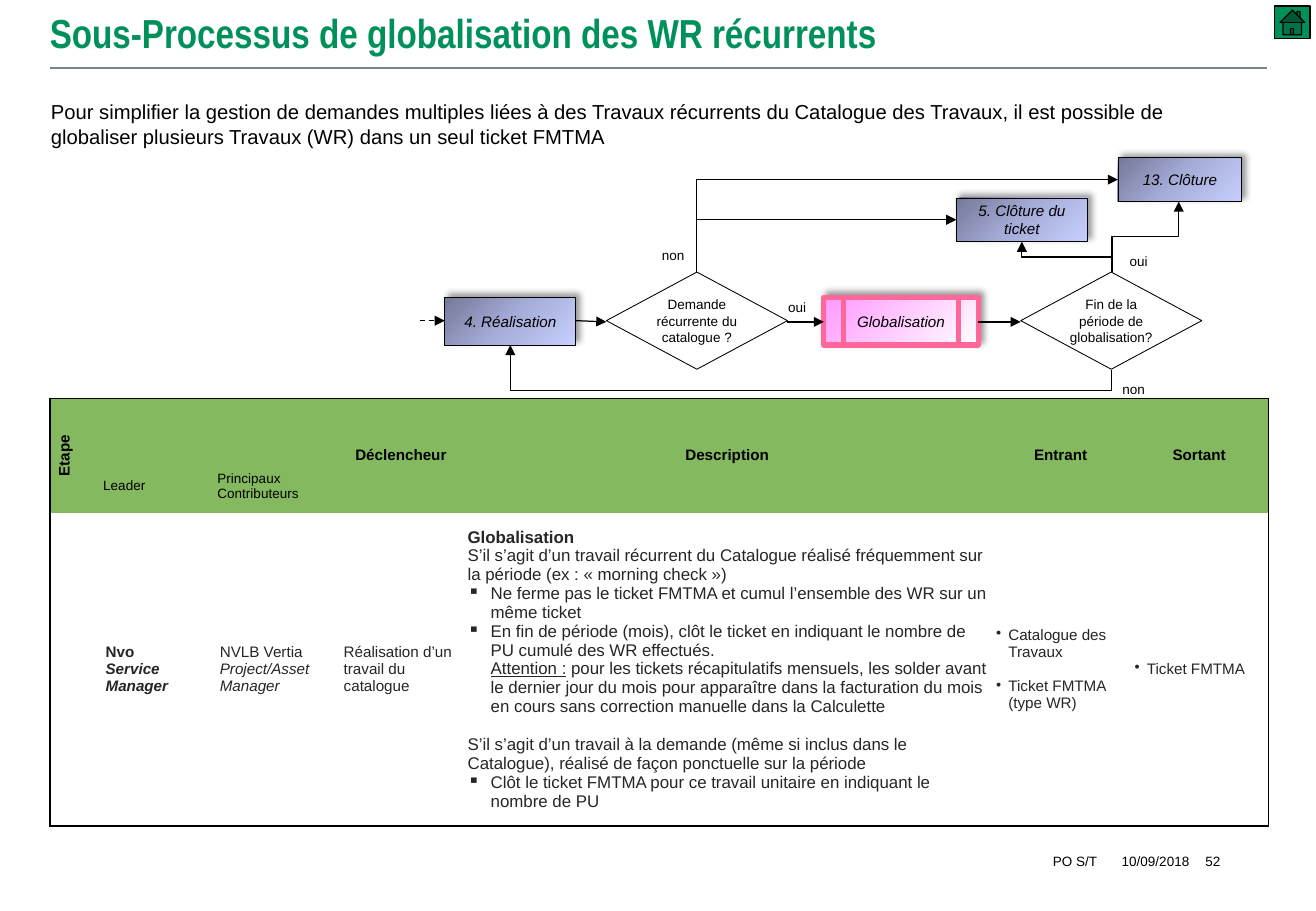
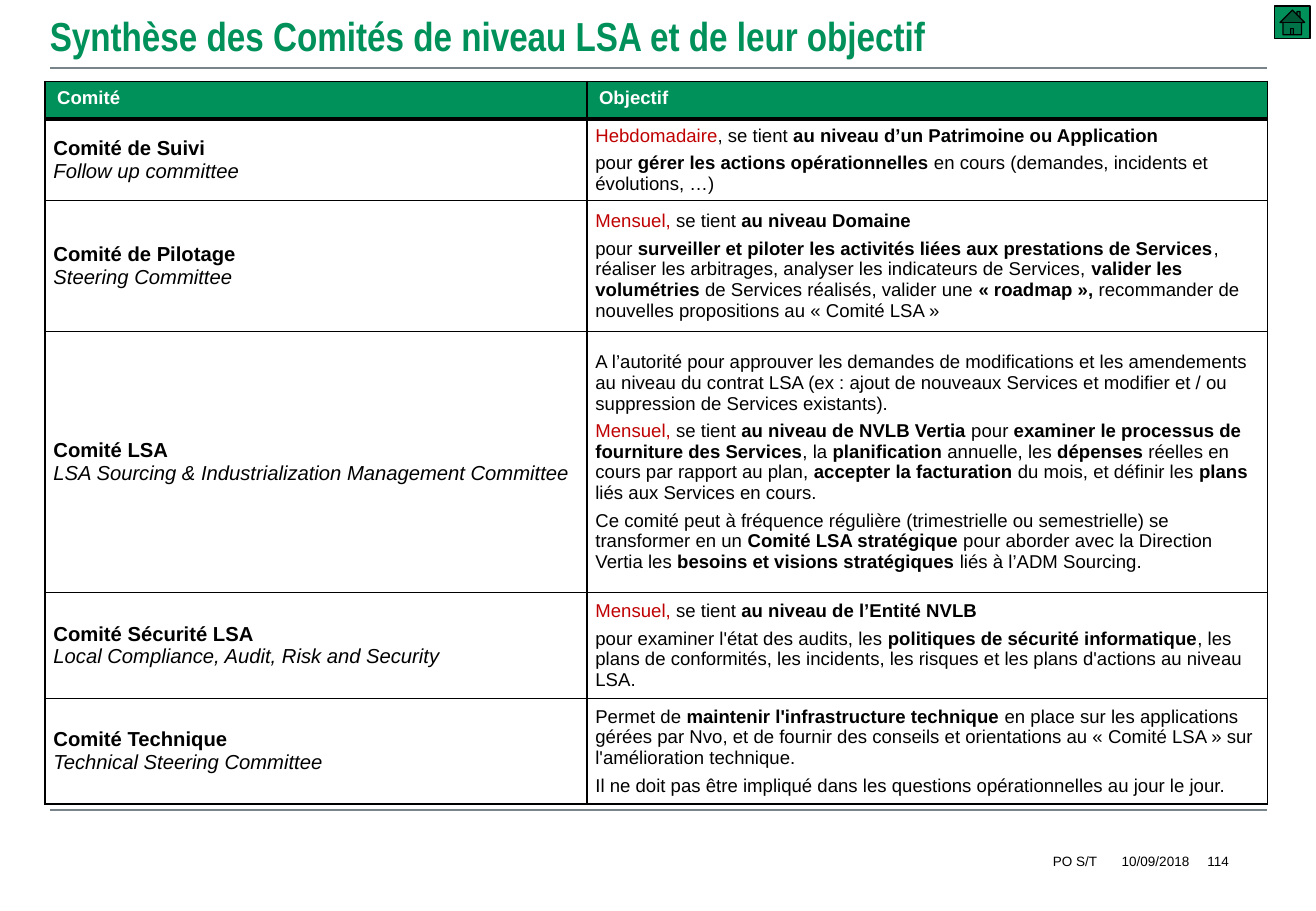
from dataclasses import dataclass

from lxml import etree
from pptx import Presentation
from pptx.dml.color import RGBColor
from pptx.enum.dml import MSO_LINE
from pptx.enum.shapes import MSO_CONNECTOR, MSO_SHAPE
from pptx.enum.text import MSO_ANCHOR, PP_ALIGN
from pptx.oxml import parse_xml
from pptx.oxml.ns import nsdecls, qn
from pptx.util import Inches, Pt

LEFT, CENTER, RIGHT = PP_ALIGN.LEFT, PP_ALIGN.CENTER, PP_ALIGN.RIGHT
TOP, MIDDLE = MSO_ANCHOR.TOP, MSO_ANCHOR.MIDDLE
STRAIGHT, ELBOW = MSO_CONNECTOR.STRAIGHT, MSO_CONNECTOR.ELBOW
RECTANGLE, DECISION = MSO_SHAPE.RECTANGLE, MSO_SHAPE.FLOWCHART_DECISION
SUBPROCESS, HOME = MSO_SHAPE.FLOWCHART_PREDEFINED_PROCESS, MSO_SHAPE.ACTION_BUTTON_HOME
DASH = MSO_LINE.DASH

COLORS = {
    "black": "000000", "white": "FFFFFF", "green": "00915A", "rule": "78848A",
    "header": "85B95F", "body": "262626", "red": "C00000", "pink": "FF6699",
}
STEP_GRADIENT = ((0, "757998"), (50, "A6ADD9"), (100, "C7CFFF"))
PINK_GRADIENT = ((0, "FF99FF"), (100, "FFFFFF"))
MARGIN, CONTENT_WIDTH = 0.41, 10.02
NO_INSETS = (0, 0, 0, 0)
BOX_INSETS = (0.1, 0.05, 0.1, 0.05)
LABEL_INSETS = (0.01,) * 4
BODY_INSETS = (0.04,) * 4


@dataclass
class Run:
    text: str
    bold: bool = False
    italic: bool = False
    underline: bool = False
    color: str = ""


@dataclass
class Para:
    runs: list[Run]
    bullet: str = ""
    indent: float = 0
    before: float = 0
    after: float = 0


@dataclass
class Style:
    size: float
    color: str = "black"
    align: int = LEFT
    anchor: int = MIDDLE
    insets: tuple = NO_INSETS
    font: str = "Arial"


@dataclass
class Step:
    text: str
    kind: int
    box: tuple
    gradient: tuple = ()
    outline: str = "black"
    weight: float = 0.5


@dataclass
class Route:
    start: tuple
    end: tuple
    preset: str = ""
    bend: float = 0.5
    dashed: bool = False


@dataclass
class Committee:
    name: str
    english: str
    frequency: str
    purpose: list[str]


def rgb(name: str) -> RGBColor:
    return RGBColor.from_string(COLORS[name])


def marked(text: str) -> list[Run]:
    return [Run(part, bold=i % 2 == 1) for i, part in enumerate(text.split("*")) if part]


def line(text: str, **flags) -> Para:
    return Para([Run(text, **flags)])


def write(frame, paras: list[Para], style: Style) -> None:
    for i, para in enumerate(paras):
        paragraph = frame.paragraphs[0] if i == 0 else frame.add_paragraph()
        paragraph.alignment = style.align
        paragraph.space_before = Pt(para.before if i else 0)
        paragraph.space_after = Pt(para.after)
        if para.indent:
            props = paragraph._p.get_or_add_pPr()
            props.set("marL", str(Inches(para.indent)))
            props.set("indent", str(-Inches(para.indent) if para.bullet else 0))
            if para.bullet:
                etree.SubElement(props, qn("a:buChar")).set("char", para.bullet)
        for part in para.runs:
            run = paragraph.add_run()
            run.text = part.text
            font = run.font
            font.name, font.size = style.font, Pt(style.size)
            font.bold, font.italic, font.underline = part.bold, part.italic, part.underline
            font.color.rgb = rgb(part.color or style.color)


def set_margins(target, insets: tuple) -> None:
    (target.margin_left, target.margin_top,
     target.margin_right, target.margin_bottom) = map(Inches, insets)


def fill_frame(frame, paras: list[Para], style: Style) -> None:
    frame.word_wrap = True
    frame.vertical_anchor = style.anchor
    set_margins(frame, style.insets)
    write(frame, paras, style)


def add_text(slide, box: tuple, paras: list[Para], style: Style) -> None:
    fill_frame(slide.shapes.add_textbox(*map(Inches, box)).text_frame, paras, style)


def add_line(slide, route: Route, color: str = "black", weight: float = 0.75, arrow: bool = True) -> None:
    (x1, y1), (x2, y2) = route.start, route.end
    kind = ELBOW if route.preset else STRAIGHT
    link = slide.shapes.add_connector(kind, *map(Inches, (x1, y1, x2, y2)))
    link.line.color.rgb, link.line.width = rgb(color), Pt(weight)
    if route.dashed:
        link.line.dash_style = DASH
    props = link.element.spPr
    if route.preset:
        rise, span = abs(y2 - y1), abs(x2 - x1)
        link.left, link.top = Inches((x1 + x2 - rise) / 2), Inches((y1 + y2 - span) / 2)
        link.width, link.height = Inches(rise), Inches(span)
        frame = props.find(qn("a:xfrm"))
        frame.set("rot", "5400000")
        frame.set("flipH", "1")
        frame.set("flipV", "1" if x2 > x1 else "0")
        geometry = props.find(qn("a:prstGeom"))
        geometry.set("prst", route.preset)
        if route.preset == "bentConnector3":
            guide = etree.SubElement(geometry.find(qn("a:avLst")), qn("a:gd"))
            guide.set("name", "adj1")
            guide.set("fmla", f"val {round(route.bend * 100000)}")
    if arrow:
        etree.SubElement(props.find(qn("a:ln")), qn("a:tailEnd")).set("type", "triangle")
    etree.SubElement(props, qn("a:effectLst"))


def add_shape(slide, kind: int, box: tuple, fill: str, outline: str, weight: float):
    shape = slide.shapes.add_shape(kind, *map(Inches, box))
    shape.shadow.inherit = False
    shape.fill.solid()
    shape.fill.fore_color.rgb = rgb(fill)
    shape.line.color.rgb, shape.line.width = rgb(outline), Pt(weight)
    return shape


def add_step(slide, step: Step) -> None:
    shape = add_shape(slide, step.kind, step.box, "white", step.outline, step.weight)
    if step.gradient:
        props = shape.element.spPr
        stops = "".join(f'<a:gs pos="{pos * 1000}"><a:srgbClr val="{color}"/></a:gs>'
                        for pos, color in step.gradient)
        props.replace(props.find(qn("a:solidFill")), parse_xml(
            f'<a:gradFill {nsdecls("a")} rotWithShape="1"><a:gsLst>{stops}</a:gsLst>'
            '<a:lin ang="2700000" scaled="0"/></a:gradFill>'))
        props.find(qn("a:effectLst")).append(parse_xml(
            f'<a:outerShdw {nsdecls("a")} blurRad="{Pt(4)}" dist="{Pt(3)}" dir="18900000" algn="bl" '
            'rotWithShape="0"><a:srgbClr val="000000"><a:alpha val="40000"/></a:srgbClr></a:outerShdw>'))
        style = Style(9, align=CENTER, insets=BOX_INSETS)
    else:
        style = Style(8, align=CENTER)
    fill_frame(shape.text_frame, [line(step.text, italic=bool(step.gradient))], style)


def add_grid(slide, left: float, top: float, columns: tuple, rows: tuple):
    box = (left, top, sum(columns), sum(rows))
    table = slide.shapes.add_table(len(rows), len(columns), *map(Inches, box)).table
    for column, width in zip(table.columns, columns):
        column.width = Inches(width)
    for row, height in zip(table.rows, rows):
        row.height = Inches(height)
    return table


def paint_cell(cell, fill: str, borders: dict[str, float]) -> None:
    props = cell._tc.get_or_add_tcPr()
    for side in "LRTB":
        edge = etree.SubElement(props, qn(f"a:ln{side}"))
        if side in borders:
            edge.set("w", str(Pt(borders[side])))
            color = etree.SubElement(etree.SubElement(edge, qn("a:solidFill")), qn("a:srgbClr"))
            color.set("val", COLORS["black"])
        else:
            etree.SubElement(edge, qn("a:noFill"))
    cell.fill.solid()
    cell.fill.fore_color.rgb = rgb(fill)


def fill_cell(cell, paras: list[Para], style: Style) -> None:
    cell.vertical_anchor = style.anchor
    set_margins(cell, style.insets)
    write(cell.text_frame, paras, style)


def start_slide(deck, title: str, title_height: float, number: str, number_align: int):
    slide = deck.slides.add_slide(deck.slide_layouts[6])
    for y in (6.67, 0.56):
        add_line(slide, Route((MARGIN, y), (MARGIN + CONTENT_WIDTH, y)), "rule", 1, arrow=False)
    add_shape(slide, HOME, (10.49, 0.05, 0.29, 0.27), "green", "black", 0.75)
    for text, left, width, align in (("PO S/T", 6.64, 2.39, RIGHT), ("10/09/2018", 9.09, 0.84, CENTER),
                                     (number, 9.92, 0.21, number_align)):
        add_text(slide, (left, 6.99, width, 0.2), [line(text)], Style(8, align=align))
    add_text(slide, (MARGIN, 0, CONTENT_WIDTH, title_height), [line(title, bold=True)],
             Style(24, "green", font="Arial Narrow"))
    return slide


STEPS = [
    Step("4. Réalisation", RECTANGLE, (3.66, 2.45, 1.08, 0.39), STEP_GRADIENT),
    Step("5. Clôture du ticket", RECTANGLE, (7.87, 1.63, 1.08, 0.36), STEP_GRADIENT),
    Step("13. Clôture", RECTANGLE, (9.2, 1.3, 1.02, 0.36), STEP_GRADIENT),
    Step("Demande récurrente du catalogue ?", DECISION, (4.99, 2.24, 1.49, 0.8)),
    Step("Globalisation", SUBPROCESS, (6.78, 2.45, 1.27, 0.39), PINK_GRADIENT, "pink", 3),
    Step("Fin de la période de globalisation?", DECISION, (8.4, 2.24, 1.49, 0.8)),
]
ROUTES = [
    Route((3.46, 2.64), (3.66, 2.64), dashed=True),
    Route((4.74, 2.64), (4.99, 2.65)),
    Route((6.48, 2.65), (6.78, 2.65)),
    Route((8.05, 2.65), (8.4, 2.65)),
    Route((5.73, 2.24), (7.87, 1.81), "bentConnector2"),
    Route((5.73, 2.24), (9.2, 1.48), "bentConnector2"),
    Route((9.15, 2.24), (8.41, 1.99), "bentConnector3"),
    Route((9.15, 2.24), (9.7, 1.66), "bentConnector3"),
    Route((9.15, 3.05), (4.2, 2.84), "bentConnector3", -0.79),
]
ANSWERS = [("non", 5.34, 2.02), ("oui", 6.36, 2.45), ("non", 9.13, 3.13), ("oui", 9.17, 2.07)]
DESCRIPTION = [
    line("Globalisation", bold=True),
    line("S’il s’agit d’un travail récurrent du Catalogue réalisé fréquemment sur la période (ex : « morning check »)"),
    Para([Run("Ne ferme pas le ticket FMTMA et cumul l’ensemble des WR sur un même ticket")], "▪", 0.19),
    Para([Run("En fin de période (mois), clôt le ticket en indiquant le nombre de PU cumulé des WR effectués.")],
         "▪", 0.19),
    Para([Run("Attention :", underline=True),
          Run(" pour les tickets récapitulatifs mensuels, les solder avant le dernier jour du mois pour apparaître "
              "dans la facturation du mois en cours sans correction manuelle dans la Calculette")], indent=0.19),
    Para([Run("S’il s’agit d’un travail à la demande (même si inclus dans le Catalogue), "
              "réalisé de façon ponctuelle sur la période")], before=11.5),
    Para([Run("Clôt le ticket FMTMA pour ce travail unitaire en indiquant le nombre de PU")], "▪", 0.19),
]
STAGE = {
    1: [line("Nvo", bold=True), line("Service Manager", bold=True, italic=True)],
    2: [line("NVLB Vertia"), line("Project/Asset Manager", italic=True)],
    3: [line("Réalisation d’un travail du catalogue")],
    4: DESCRIPTION,
    5: [Para([Run("Catalogue des Travaux")], "•", 0.1), Para([Run("Ticket FMTMA (type WR)")], "•", 0.1, 10.35)],
    6: [Para([Run("Ticket FMTMA")], "•", 0.1)],
}
COMMITTEES = [
    Committee("Comité de Suivi", "Follow up committee", "Hebdomadaire", [
        ", se tient *au niveau d’un Patrimoine ou Application*",
        "pour *gérer les actions opérationnelles* en cours (demandes, incidents et évolutions, …)"]),
    Committee("Comité de Pilotage", "Steering Committee", "Mensuel,", [
        " se tient *au niveau Domaine*",
        "pour *surveiller et piloter les activités liées aux prestations de Services*, réaliser les arbitrages, "
        "analyser les indicateurs de Services, *valider les volumétries* de Services réalisés, valider une "
        "*« roadmap »,* recommander de nouvelles propositions au « Comité LSA »"]),
    Committee("Comité LSA", "LSA Sourcing & Industrialization Management Committee", "Mensuel,", [
        "A l’autorité pour approuver les demandes de modifications et les amendements au niveau du contrat LSA "
        "(ex : ajout de nouveaux Services et modifier et / ou suppression de Services existants).",
        " se tient *au niveau de NVLB Vertia* pour *examiner le processus de fourniture des Services*, la "
        "*planification* annuelle, les *dépenses* réelles en cours par rapport au plan, *accepter la facturation* "
        "du mois, et définir les *plans* liés aux Services en cours.",
        "Ce comité peut à fréquence régulière (trimestrielle ou semestrielle) se transformer en un *Comité LSA "
        "stratégique* pour aborder avec la Direction Vertia les *besoins et visions stratégiques* "
        "liés à l’ADM Sourcing."]),
    Committee("Comité Sécurité LSA", "Local Compliance, Audit, Risk and Security", "Mensuel,", [
        " se tient *au niveau de l’Entité NVLB*",
        "pour examiner l'état des audits, les *politiques de sécurité informatique*, les plans de conformités, "
        "les incidents, les risques et les plans d'actions au niveau LSA."]),
    Committee("Comité Technique", "Technical Steering Committee", "", [
        "Permet de *maintenir l'infrastructure technique* en place sur les applications gérées par Nvo, et de fournir "
        "des conseils et orientations au « Comité LSA » sur l'amélioration technique.",
        "Il ne doit pas être impliqué dans les questions opérationnelles au jour le jour."]),
]


def build_process(deck) -> None:
    slide = start_slide(deck, "Sous-Processus de globalisation des WR récurrents", 0.54, "52", LEFT)
    add_text(slide, (0.32, 0.75, 10.11, 0.54), [line(
        "Pour simplifier la gestion de demandes multiples liées à des Travaux récurrents du Catalogue des Travaux, "
        "il est possible de globaliser plusieurs Travaux (WR) dans un seul ticket FMTMA")],
        Style(12, insets=BOX_INSETS))
    for step in STEPS:
        add_step(slide, step)
    for route in ROUTES:
        add_line(slide, route)
    for answer, left, top in ANSWERS:
        add_text(slide, (left, top, 0.4, 0.16), [line(answer)], Style(8, align=CENTER, anchor=TOP, insets=LABEL_INSETS))
    table = add_grid(slide, MARGIN, 3.28, (0.42, 0.94, 1.02, 1.02, 4.35, 1.14, 1.14), (0.5, 0.44, 2.58))
    for row in range(3):
        for column in range(7):
            edges = {"L": column == 0, "R": column == 6, "T": row == 0, "B": row == 2}
            paint_cell(table.cell(row, column), "white" if row == 2 else "header",
                       {side: 1 for side, outer in edges.items() if outer})
    table.cell(0, 1).merge(table.cell(0, 2))
    for column, heading in {0: "Etape", 3: "Déclencheur", 4: "Description", 5: "Entrant", 6: "Sortant"}.items():
        table.cell(0, column).merge(table.cell(1, column))
        fill_cell(table.cell(0, column), [line(heading, bold=True)], Style(9, align=CENTER, insets=BOX_INSETS))
    table.cell(0, 0)._tc.get_or_add_tcPr().set("vert", "vert270")
    for column, words in {1: ["Leader"], 2: ["Principaux", "Contributeurs"]}.items():
        fill_cell(table.cell(1, column), [line(word) for word in words], Style(8, insets=(0.02, 0.05, 0.02, 0.05)))
    for column, paras in STAGE.items():
        fill_cell(table.cell(2, column), paras, Style(10 if column == 4 else 9, "body", insets=BODY_INSETS))


def build_committees(deck) -> None:
    slide = start_slide(deck, "Synthèse des Comités de niveau LSA et de leur objectif", 0.58, "114", CENTER)
    table = add_grid(slide, 0.37, 0.67, (4.46, 5.6), (0.31, 0.67, 1.08, 2.15, 0.87, 0.87))
    for row in range(6):
        for column in range(2):
            paint_cell(table.cell(row, column), "white" if row else "green",
                       {"L": 1, "R": 1, "T": 3 if row == 1 else 1, "B": 1 if row else 3})
    for column, heading in enumerate(("Comité", "Objectif")):
        fill_cell(table.cell(0, column), [line(heading, bold=True)], Style(11, "white", anchor=TOP, insets=BOX_INSETS))
    insets = (0.07, 0, 0.07, 0)
    for row, committee in enumerate(COMMITTEES, 1):
        fill_cell(table.cell(row, 0), [line(committee.name, bold=True), line(committee.english, italic=True)],
                  Style(12, insets=insets))
        purpose = []
        for text in committee.purpose:
            lead = [Run(committee.frequency, color="red")] if "se tient" in text else []
            purpose.append(Para(lead + marked(text), before=2, after=2))
        fill_cell(table.cell(row, 1), purpose, Style(11, insets=insets))


def main() -> None:
    deck = Presentation()
    deck.slide_width, deck.slide_height = Inches(10.83), Inches(7.5)
    build_process(deck)
    build_committees(deck)
    deck.save("out.pptx")


if __name__ == "__main__":
    main()
